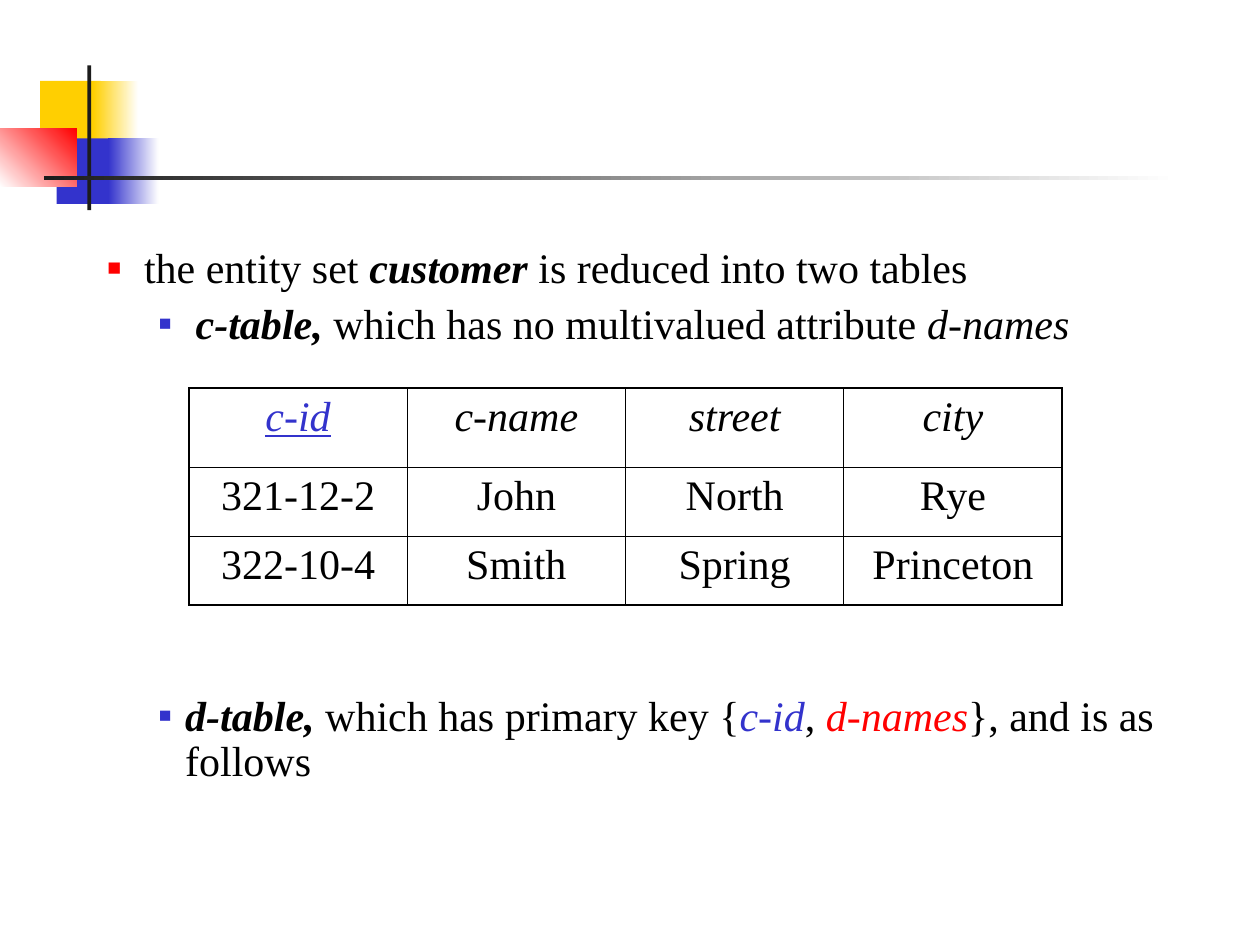
import dataclasses
from typing import NamedTuple, Optional

import lxml.etree
import pptx
import pptx.dml.color
import pptx.enum.shapes
import pptx.enum.text
import pptx.oxml
import pptx.oxml.ns
import pptx.util

Cm, Pt = pptx.util.Cm, pptx.util.Pt


@dataclasses.dataclass(frozen=True)
class Theme:
    font: str = "Times New Roman"
    size: float = 24
    text: str = "000000"
    paper: str = "FFFFFF"
    ink: str = "1C1C1C"
    yellow: str = "FFCF01"
    blue: str = "3333CC"
    red: str = "FF0000"
    thin: float = 0.45
    thick: float = 1.08


THEME = Theme()


class Block(NamedTuple):
    left: float
    top: float
    width: float
    height: float
    start: str
    end: Optional[str] = None
    angle: float = 0


class Run(NamedTuple):
    text: str
    color: str = THEME.text
    format: dict = {}


class Bullet(NamedTuple):
    level: int
    color: str
    percent: int
    indent: float
    before: float
    runs: list


ITALIC = {"italic": True}
STRONG = {"bold": True, "italic": True}

BLOCKS = [
    Block(0.81, 1.63, 1.22, 1.32, THEME.yellow),
    Block(1.88, 1.63, 0.91, 1.32, THEME.yellow, THEME.paper),
    Block(1.14, 2.79, 1.17, 1.32, THEME.blue),
    Block(2.18, 2.79, 1.02, 1.32, THEME.blue, THEME.paper),
    Block(0, 2.59, 1.55, 1.17, THEME.paper, THEME.red, 45),
    Block(1.76, 1.32, 0.08, 2.92, THEME.ink),
    Block(0.89, 3.54, 22.86, 0.1, THEME.ink, THEME.paper),
]

BULLETS = [
    Bullet(1, THEME.red, 55, 1.6, 0, [
        Run(" the entity set "),
        Run("customer", format=STRONG),
        Run(" is reduced into two tables"),
    ]),
    Bullet(2, THEME.blue, 50, 2.64, 6, [
        Run(" "),
        Run("c-table, ", format=STRONG),
        Run("which has no multivalued attribute "),
        Run("d-names", format=ITALIC),
    ]),
    # The wide gap leaves room for the table
    Bullet(2, THEME.blue, 50, 2.64, 198, [
        Run("d-table, ", format=STRONG),
        Run("which has primary key {"),
        Run("c-id", THEME.blue, ITALIC),
        Run(", "),
        Run("d-names", THEME.red, ITALIC),
        Run("}, and is as follows"),
    ]),
]

HEADER = [Run("c-id", THEME.blue, {"italic": True, "underline": True})] + [
    Run(name, format=ITALIC) for name in ("c-name", "street", "city")]
CUSTOMERS = [
    ("321-12-2", "John", "North", "Rye"),
    ("322-10-4", "Smith", "Spring", "Princeton"),
]
ROWS = [HEADER] + [[Run(value) for value in row] for row in CUSTOMERS]
ROW_HEIGHTS = (1.6, 1.39, 1.39)
COLUMN_WIDTH = 4.4


def rgb(color: str) -> pptx.dml.color.RGBColor:
    return pptx.dml.color.RGBColor.from_string(color)


def add_element(parent, tag: str, **attributes):
    child = lxml.etree.SubElement(parent, pptx.oxml.ns.qn(tag))
    for name, value in attributes.items():
        child.set(name, str(value))
    return child


def add_block(s, block: Block) -> None:
    sp = s.shapes.add_shape(
        pptx.enum.shapes.MSO_SHAPE.RECTANGLE,
        *(Cm(v) for v in (block.left, block.top, block.width, block.height)))
    sp.shadow.inherit = False
    sp.line.fill.background()
    if block.end is None:
        sp.fill.solid()
        sp.fill.fore_color.rgb = rgb(block.start)
        return
    sp.fill.gradient()
    sp.fill.gradient_angle = block.angle
    for stop, color, position in zip(
            sp.fill.gradient_stops, (block.start, block.end), (0, 1)):
        stop.color.rgb = rgb(color)
        stop.position = position


def add_run(p, run: Run) -> None:
    r = p.add_run()
    r.text = run.text
    r.font.color.rgb = rgb(run.color)
    values = {"name": THEME.font, "size": Pt(THEME.size), **run.format}
    for name, value in values.items():
        setattr(r.font, name, value)


def add_bullet(p, bullet: Bullet) -> None:
    pPr = p._p.get_or_add_pPr()
    pPr.set("marL", str(Cm(bullet.indent)))
    pPr.set("indent", str(Cm(-0.53)))
    add_element(add_element(pPr, "a:buClr"), "a:srgbClr", val=bullet.color)
    add_element(pPr, "a:buSzPct", val=bullet.percent * 1000)
    add_element(pPr, "a:buFont", typeface=THEME.font)
    add_element(pPr, "a:buChar", char="■")
    values = {"level": bullet.level, "line_spacing": 0.9,
              "space_before": Pt(bullet.before)}
    for name, value in values.items():
        setattr(p, name, value)
    for run in bullet.runs:
        add_run(p, run)


def fill_body(sp) -> None:
    place = {"left": 0.84, "top": 3.61, "width": 23.5, "height": 12.5}
    for name, value in place.items():
        setattr(sp, name, Cm(value))
    tf = sp.text_frame
    frame = {"word_wrap": True, "margin_top": Cm(1.38),
             "auto_size": pptx.enum.text.MSO_AUTO_SIZE.NONE,
             "vertical_anchor": pptx.enum.text.MSO_ANCHOR.TOP}
    for name, value in frame.items():
        setattr(tf, name, value)
    for i, bullet in enumerate(BULLETS):
        add_bullet(tf.add_paragraph() if i else tf.paragraphs[0], bullet)


def add_borders(cell, outer: dict) -> None:
    tcPr = cell._tc.get_or_add_tcPr()
    for side, is_outer in outer.items():
        width = THEME.thick if is_outer else THEME.thin
        line = add_element(tcPr, f"a:ln{side}", w=Pt(width))
        add_element(add_element(line, "a:solidFill"), "a:srgbClr", val=THEME.text)


def add_customer_table(s) -> None:
    count = len(HEADER)
    table = s.shapes.add_table(
        len(ROWS), count, Cm(3.81), Cm(7.82),
        Cm(COLUMN_WIDTH * count), Cm(sum(ROW_HEIGHTS))).table
    table.first_row = table.horz_banding = False
    for column in table.columns:
        column.width = Cm(COLUMN_WIDTH)
    for i, (row, height) in enumerate(zip(ROWS, ROW_HEIGHTS)):
        table.rows[i].height = Cm(height)
        for j, run in enumerate(row):
            cell = table.cell(i, j)
            add_borders(cell, {"L": j == 0, "R": j == count - 1,
                               "T": i == 0, "B": i == len(ROWS) - 1})
            cell.fill.background()
            p = cell.text_frame.paragraphs[0]
            p.alignment = pptx.enum.text.PP_ALIGN.CENTER
            add_run(p, run)


def main() -> None:
    prs = pptx.Presentation()
    prs.slide_width, prs.slide_height = Cm(25.4), Cm(19.05)
    s = prs.slides.add_slide(prs.slide_layouts[1])

    # The slide has no title
    title = s.shapes.title._element
    title.getparent().remove(title)

    # Corner decoration and rule
    for block in BLOCKS:
        add_block(s, block)

    # Bullets and the table between them
    fill_body(s.placeholders[1])
    add_customer_table(s)
    prs.save("out.pptx")


if __name__ == "__main__":
    main()
